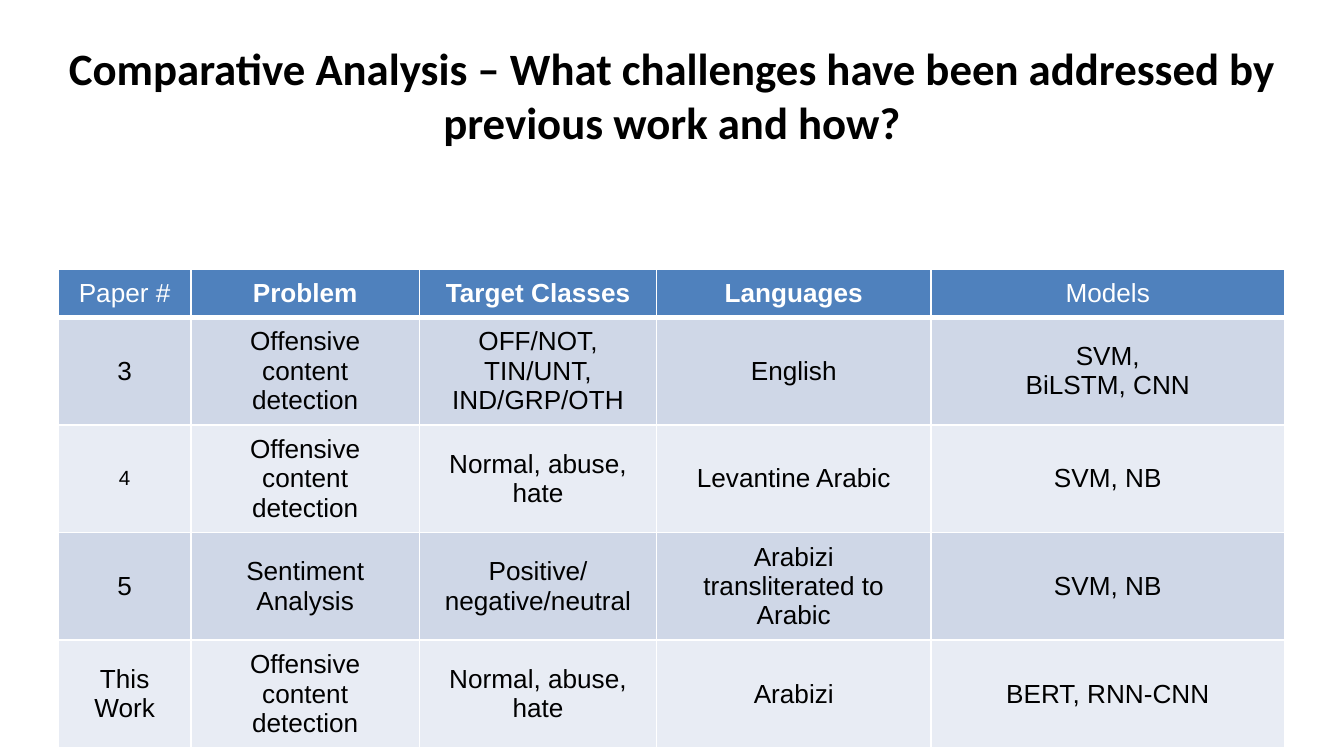
import dataclasses

import pptx
import pptx.dml.color
import pptx.enum.text
import pptx.oxml
import pptx.oxml.ns
import pptx.util

Pt = pptx.util.Pt
MIDDLE = pptx.enum.text.MSO_ANCHOR.MIDDLE
CENTER = pptx.enum.text.PP_ALIGN.CENTER


@dataclasses.dataclass(frozen=True)
class Theme:
    title_font: str = "Calibri"
    table_font: str = "Arial"
    title_size: float = 24
    table_size: float = 14
    small_size: float = 11
    ink: str = "000000"
    paper: str = "FFFFFF"
    header: str = "4F81BD"
    bands: tuple = ("CFD7E7", "E8ECF4")
    rule: float = 1
    header_rule: float = 3


THEME = Theme()

TITLE = "Comparative Analysis – What challenges have been addressed by previous work and how?"
OFFENSIVE = "Offensive content\ndetection"
HEADINGS = ["Paper #", "Problem", "Target Classes", "Languages", "Models"]
PLAIN_HEADINGS = {"Paper #", "Models"}
PAPERS = [
    ["3", OFFENSIVE, "OFF/NOT, TIN/UNT,\nIND/GRP/OTH", "English", "SVM,\nBiLSTM, CNN"],
    ["4", OFFENSIVE, "Normal, abuse, hate", "Levantine Arabic", "SVM, NB"],
    ["5", "Sentiment Analysis", "Positive/negative/neutral",
     "Arabizi\ntransliterated to Arabic", "SVM, NB"],
    ["This Work", OFFENSIVE, "Normal, abuse, hate", "Arabizi", "BERT, RNN-CNN"],
]
COLUMN_WIDTHS = [71, 122.5, 127, 147, 189.5]
HEADER_HEIGHT = 26


def write_text(text_frame, text, font, size, color, bold=False):
    """Write each line of the text as a centred paragraph."""
    for index, line in enumerate(text.split("\n")):
        paragraph = text_frame.add_paragraph() if index else text_frame.paragraphs[0]
        paragraph.alignment = CENTER
        run = paragraph.add_run()
        run.text = line
        run.font.name = font
        run.font.size = Pt(size)
        run.font.bold = bold
        run.font.color.rgb = pptx.dml.color.RGBColor.from_string(color)


def style_cell(cell, fill, top_rule, bottom_rule):
    """Set the margins, borders and fill of a cell."""
    cell.vertical_anchor = MIDDLE
    cell.margin_left = cell.margin_right = Pt(7.2)
    cell.margin_top = cell.margin_bottom = Pt(3.6)
    properties = cell._tc.get_or_add_tcPr()
    namespace = pptx.oxml.ns.nsdecls("a")
    rules = {"L": THEME.rule, "R": THEME.rule, "T": top_rule, "B": bottom_rule}
    for side, width in rules.items():
        properties.append(pptx.oxml.parse_xml(
            f'<a:ln{side} {namespace} w="{Pt(width)}"><a:solidFill>'
            f'<a:srgbClr val="{THEME.paper}"/></a:solidFill></a:ln{side}>'))
    cell.fill.solid()
    cell.fill.fore_color.rgb = pptx.dml.color.RGBColor.from_string(fill)


def add_title(slide, left, top, width, height):
    shape = slide.shapes.add_textbox(Pt(left), Pt(top), Pt(width), Pt(height))
    text_frame = shape.text_frame
    text_frame.word_wrap = True
    text_frame.vertical_anchor = MIDDLE
    write_text(text_frame, TITLE, THEME.title_font, THEME.title_size, THEME.ink, True)


def add_comparison_table(slide, left, top, width, height):
    rows = [HEADINGS] + PAPERS
    table = slide.shapes.add_table(
        len(rows), len(HEADINGS), Pt(left), Pt(top), Pt(width), Pt(height)).table

    # Column widths share the box; paper rows share the height below the header
    for column, share in zip(table.columns, COLUMN_WIDTHS):
        column.width = Pt(width * share / sum(COLUMN_WIDTHS))
    for index, row in enumerate(table.rows):
        row.height = Pt((height - HEADER_HEIGHT) / len(PAPERS) if index else HEADER_HEIGHT)

    # Header row, then banded paper rows
    for row_index, texts in enumerate(rows):
        is_header = row_index == 0
        fill = THEME.header if is_header else THEME.bands[(row_index - 1) % 2]
        color = THEME.paper if is_header else THEME.ink
        top_rule = THEME.header_rule if row_index == 1 else THEME.rule
        bottom_rule = THEME.header_rule if is_header else THEME.rule
        for column_index, text in enumerate(texts):
            cell = table.cell(row_index, column_index)
            style_cell(cell, fill, top_rule, bottom_rule)
            size = THEME.small_size if text == "4" else THEME.table_size
            bold = is_header and text not in PLAIN_HEADINGS
            write_text(cell.text_frame, text, THEME.table_font, size, color, bold)


def build_comparison_slide(presentation):
    slide = presentation.slides.add_slide(presentation.slide_layouts[6])
    add_title(slide, 0, 16.5, 720, 68)
    add_comparison_table(slide, 31.3, 144, 657, 236)


presentation = pptx.Presentation()
presentation.slide_width = Pt(720)
presentation.slide_height = Pt(405)
build_comparison_slide(presentation)
presentation.save("out.pptx")
